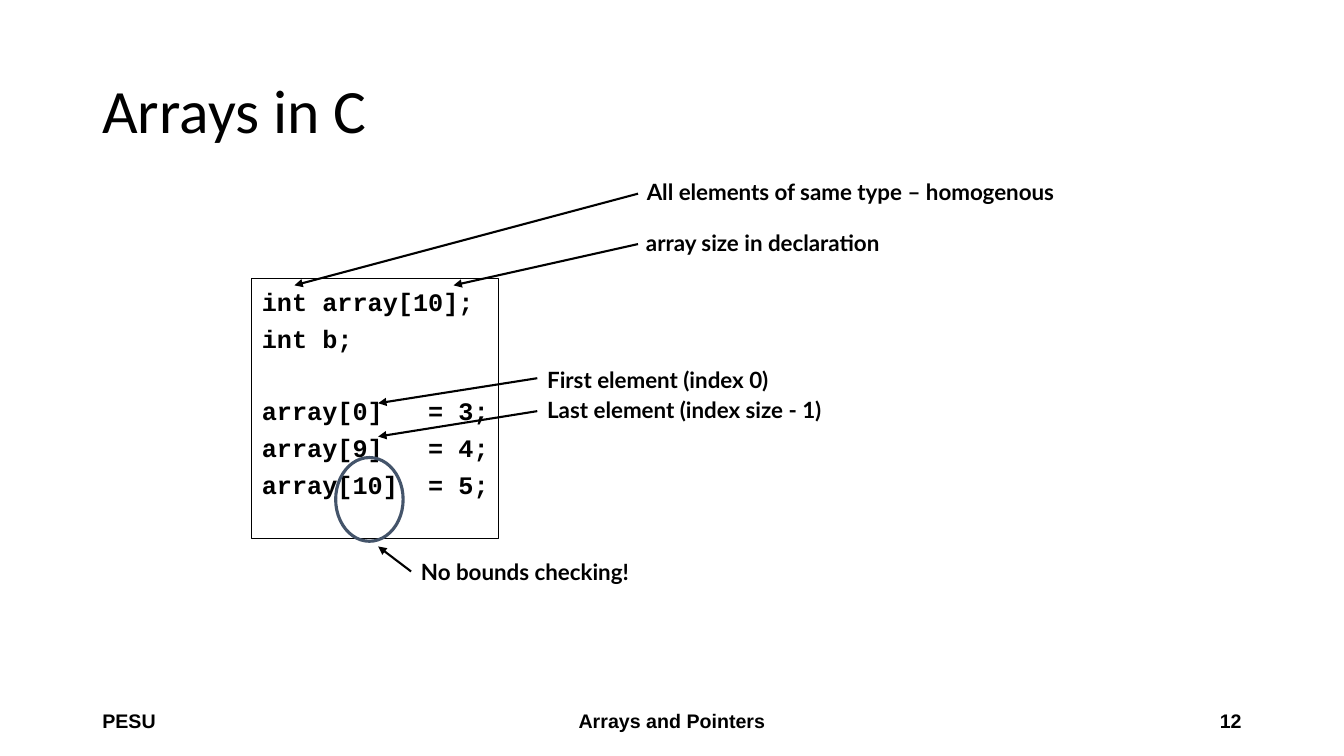
import pptx
import pptx.dml.color
import pptx.enum.shapes
import pptx.enum.text
import pptx.oxml
import pptx.oxml.ns
import pptx.util
from dataclasses import dataclass

Cm = pptx.util.Cm
Pt = pptx.util.Pt
Align = pptx.enum.text.PP_ALIGN
Anchor = pptx.enum.text.MSO_ANCHOR
Shapes = pptx.enum.shapes.MSO_SHAPE


@dataclass(frozen=True)
class Theme:
    ink: str = "000000"
    ring: str = "44546A"
    title: tuple = ("Calibri", 44, False)
    label: tuple = ("Lato", 16, True)
    code: tuple = ("Courier New", 18, True)
    footer: tuple = ("Arial", 14, True)
    code_gap: float = 4.8
    code_pitch: float = 25.2
    frame_line: float = 0.75
    arrow_line: float = 1.5
    ring_line: float = 2.25


THEME = Theme()
PAGE_SIZE = (33.87, 19.05)

TITLE = ("Arrays in C", (2.33, 1.02, 29.21, 3.68))
FOOTERS = [
    ("PESU", 2.33, 7.62, Align.LEFT),
    ("Arrays and Pointers", 11.22, 11.43, Align.CENTER),
    ("12", 23.92, 7.62, Align.RIGHT),
]
FOOTER_TOP, FOOTER_HEIGHT = 17.65, 1.02

CODE_BLOCKS = [
    ["int array[10];", "int b;"],
    ["array[0]   = 3;", "array[9]   = 4;", "array[10]  = 5;"],
]
CODE_PLACE = (6.35, 7.01, 6.22, 6.55)
RING_PLACE = (8.46, 11.53, 1.7, 2.11)

LABEL_HEIGHT = 0.94
CALLOUTS = [
    ("All elements of same type – homogenous", (16.05, 4.37, 12.19), (16.08, 4.88, 7.42, 7.19)),
    ("array size in declaration", (16.03, 5.64, 7.42), (16.08, 6.15, 11.43, 7.19)),
    ("First element (index 0)", (13.54, 9.09, 7.04), (13.54, 9.53, 9.53, 10.16)),
    ("Last element (index size - 1)", (13.54, 9.86, 8.61), (13.54, 10.36, 9.53, 11)),
    ("No bounds checking!", (10.36, 13.94, 6.48), (10.36, 14.4, 9.53, 13.77)),
]


def apply(target, values):
    for name, value in values.items():
        setattr(target, name, value)


def lengths(numbers):
    return [Cm(number) for number in numbers]


def color(value):
    return pptx.dml.color.RGBColor.from_string(value)


def write(para, text, style, **paragraph_format):
    name, size, bold = style
    apply(para, paragraph_format)
    span = para.add_run()
    span.text = text
    apply(span.font, {"name": name, "size": Pt(size), "bold": bold})
    span.font.color.rgb = color(THEME.ink)


def set_line(item, value, width):
    item.line.color.rgb = color(value)
    item.line.width = Pt(width)


def add_text(page, text, place, style, anchor=Anchor.TOP, **paragraph_format):
    box = page.shapes.add_textbox(*lengths(place))
    apply(box.text_frame, {"word_wrap": True, "vertical_anchor": anchor})
    write(box.text_frame.paragraphs[0], text, style, **paragraph_format)


def add_outline(page, kind, place, value, width):
    shape = page.shapes.add_shape(kind, *lengths(place))
    shape.shadow.inherit = False
    shape.fill.background()
    set_line(shape, value, width)
    return shape


def add_code(page):
    frame = add_outline(page, Shapes.RECTANGLE, CODE_PLACE, THEME.ink, THEME.frame_line).text_frame
    apply(frame, {"word_wrap": False, "vertical_anchor": Anchor.TOP, "margin_top": Cm(0.2)})
    for block_index, block in enumerate(CODE_BLOCKS):
        for line_index, text in enumerate(block):
            first = block_index == line_index == 0
            para = frame.paragraphs[0] if first else frame.add_paragraph()
            gap = THEME.code_gap + (THEME.code_pitch if line_index == 0 else 0)
            write(para, text, THEME.code, alignment=Align.LEFT, space_before=Pt(0 if first else gap))


def add_arrow(page, ends):
    kind = pptx.enum.shapes.MSO_CONNECTOR.STRAIGHT
    arrow = page.shapes.add_connector(kind, *lengths(ends))
    set_line(arrow, THEME.ink, THEME.arrow_line)
    head = pptx.oxml.parse_xml(f'<a:tailEnd {pptx.oxml.ns.nsdecls("a")} type="triangle"/>')
    arrow.line._get_or_add_ln().append(head)
    effects = pptx.oxml.parse_xml(f'<a:effectLst {pptx.oxml.ns.nsdecls("a")}/>')
    arrow._element.spPr.append(effects)


def main():
    deck = pptx.Presentation()
    deck.slide_width, deck.slide_height = lengths(PAGE_SIZE)
    page = deck.slides.add_slide(deck.slide_layouts[6])

    title, title_place = TITLE
    add_text(page, title, title_place, THEME.title, Anchor.MIDDLE, line_spacing=0.9)
    for text, left, width, alignment in FOOTERS:
        place = (left, FOOTER_TOP, width, FOOTER_HEIGHT)
        add_text(page, text, place, THEME.footer, Anchor.MIDDLE, alignment=alignment)

    add_code(page)
    add_outline(page, Shapes.OVAL, RING_PLACE, THEME.ring, THEME.ring_line)
    for text, label_place, ends in CALLOUTS:
        add_text(page, text, (*label_place, LABEL_HEIGHT), THEME.label)
        add_arrow(page, ends)

    deck.save("out.pptx")


if __name__ == "__main__":
    main()
